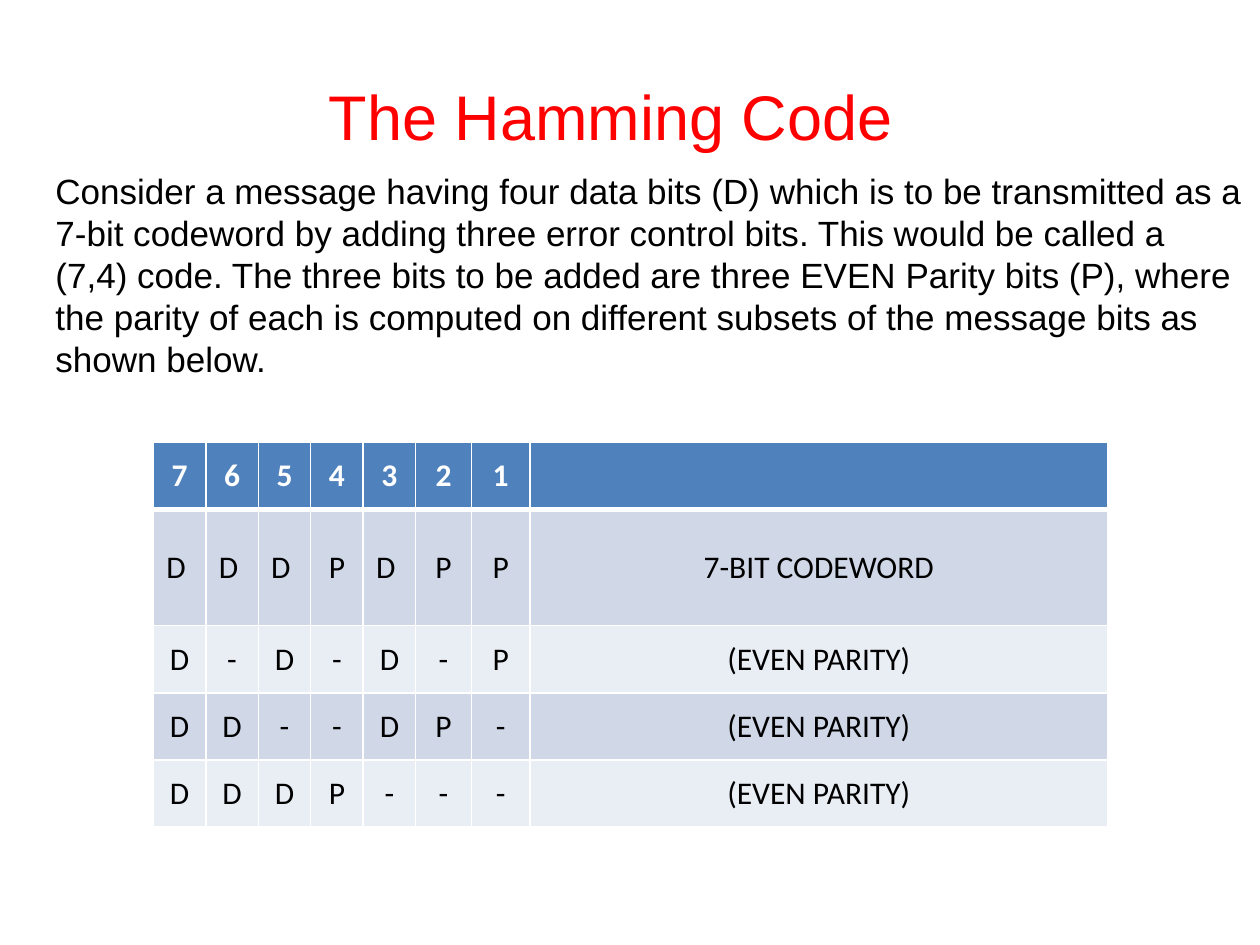
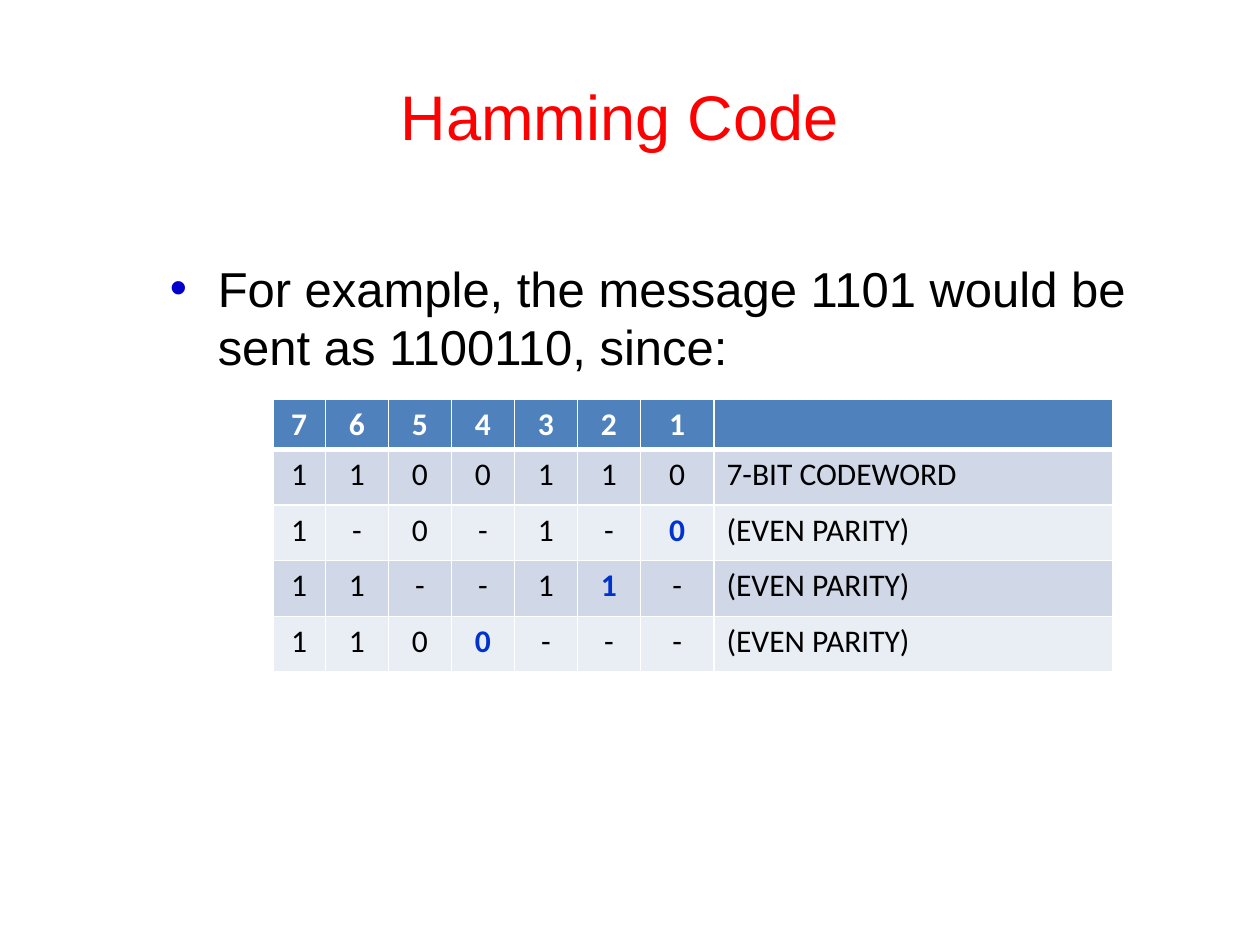
"""Build two slides that explain the (7,4) Hamming code with parity tables."""
from lxml import etree
from pptx import Presentation
from pptx import util as u
from pptx.dml.color import RGBColor
from pptx.enum import text
from pptx.oxml import ns

RED, BLACK, WHITE = "FF0000", "000000", "FFFFFF"
HEADER, BANDS = "4F81BD", ("E9EDF4", "D0D8E8")
PARITY_BLUE, BULLET_BLUE = "0033CC", "0000CC"
MIDDLE, TOP = text.MSO_ANCHOR.MIDDLE, text.MSO_ANCHOR.TOP
LEFT, CENTER = text.PP_ALIGN.LEFT, text.PP_ALIGN.CENTER
BITS = ["7", "6", "5", "4", "3", "2", "1", ""]
MEANINGS = ["7-BIT CODEWORD"] + ["(EVEN PARITY)"] * 3

deck = Presentation()
deck.slide_width, deck.slide_height = u.Inches(10), u.Inches(7.5)
UNIT = deck.slide_width / 120


def write(para, words, size, color, face="Arial", align=LEFT, bold=False):
    """Fill a paragraph with styled text."""
    para.text, para.alignment = words, align
    para.font.size, para.font.name, para.font.bold = u.Pt(size), face, bold
    para.font.color.rgb = RGBColor.from_string(color)


def add_text(page, place, words, size, color, anchor=TOP, align=LEFT):
    """Add a wrapped text box placed in grid units and return it."""
    box = page.shapes.add_textbox(*[round(n * UNIT) for n in place])
    box.text_frame.word_wrap = True
    box.text_frame.vertical_anchor = anchor
    write(box.text_frame.paragraphs[0], words, size, color, align=align)
    return box


slides = [
    dict(title="The Hamming Code ",
         body="Consider a message having four data bits (D) which is to be "
              "transmitted as a 7-bit codeword by adding three error control "
              "bits. This would be called a (7,4) code. The three bits to be "
              "added are three EVEN Parity bits (P), where the parity of each "
              "is computed on different subsets of the message bits as shown "
              "below.",
         place=(4.1, 16.1, 115.9, 23), size=20, bullet=False,
         corner=(14.6, 42.1), columns=[5] * 5 + [5.3, 5.6, 55],
         rows=[6.4, 11.1] + [6.4] * 3, anchor=MIDDLE, meaning_align=CENTER,
         codes=[["D ", "D ", "D ", "P", "D ", "P", "P"],
                "D-D-D-P", "DD--DP-", "DDDP---"],
         parity_cells=()),
    dict(title="Hamming Code",
         body="For example, the message 1101 would be sent as 1100110, since:",
         place=(15, 24, 99, 56.4), size=28, bullet=True,
         corner=(26, 38), columns=[5] + [6] * 5 + [7, 38],
         rows=[4.8] + [5.3] * 4, anchor=TOP, meaning_align=LEFT,
         codes=["1100110", "1-0-1-0", "11--11-", "1100---"],
         parity_cells=((2, 6), (3, 5), (4, 3))),
]

for content in slides:
    page = deck.slides.add_slide(deck.slide_layouts[6])
    add_text(page, (5, 4, 108, 14), content["title"], 36, RED, MIDDLE, CENTER)

    box = add_text(page, content["place"], content["body"], content["size"], BLACK)
    if content["bullet"]:
        properties = box.text_frame.paragraphs[0]._p.get_or_add_pPr()
        properties.set("marL", str(u.Inches(0.38)))
        properties.set("indent", str(-u.Inches(0.38)))
        color = etree.SubElement(properties, ns.qn("a:buClr"))
        etree.SubElement(color, ns.qn("a:srgbClr"), val=BULLET_BLUE)
        etree.SubElement(properties, ns.qn("a:buFont"), typeface="Arial")
        etree.SubElement(properties, ns.qn("a:buChar"), char="•")
    else:
        box.text_frame.margin_top = 0

    columns, rows = content["columns"], content["rows"]
    area = (*content["corner"], sum(columns), sum(rows))
    table = page.shapes.add_table(
        len(rows), len(columns), *[round(n * UNIT) for n in area]).table
    table.first_row = table.horz_banding = False
    for column, width in zip(table.columns, columns):
        column.width = round(width * UNIT)
    for row, height in zip(table.rows, rows):
        row.height = round(height * UNIT)

    lines = [BITS] + [[*code, meaning]
                      for code, meaning in zip(content["codes"], MEANINGS)]
    for r, line in enumerate(lines):
        for c, words in enumerate(line):
            cell = table.cell(r, c)
            cell.vertical_anchor = content["anchor"]
            for side in "LRTB":
                thick = (r, side) in ((0, "B"), (1, "T"))
                border = etree.SubElement(
                    cell._tc.get_or_add_tcPr(), ns.qn(f"a:ln{side}"),
                    w=str(u.Pt(3 if thick else 1)))
                fill = etree.SubElement(border, ns.qn("a:solidFill"))
                etree.SubElement(fill, ns.qn("a:srgbClr"), val=WHITE)
            cell.fill.solid()
            cell.fill.fore_color.rgb = RGBColor.from_string(
                BANDS[r % 2] if r else HEADER)
            is_parity = (r, c) in content["parity_cells"]
            color = WHITE if r == 0 else PARITY_BLUE if is_parity else BLACK
            align = content["meaning_align"] if c == len(BITS) - 1 else CENTER
            write(cell.text_frame.paragraphs[0], words, 18, color, "Calibri",
                  align, r == 0 or is_parity)

deck.save("out.pptx")
